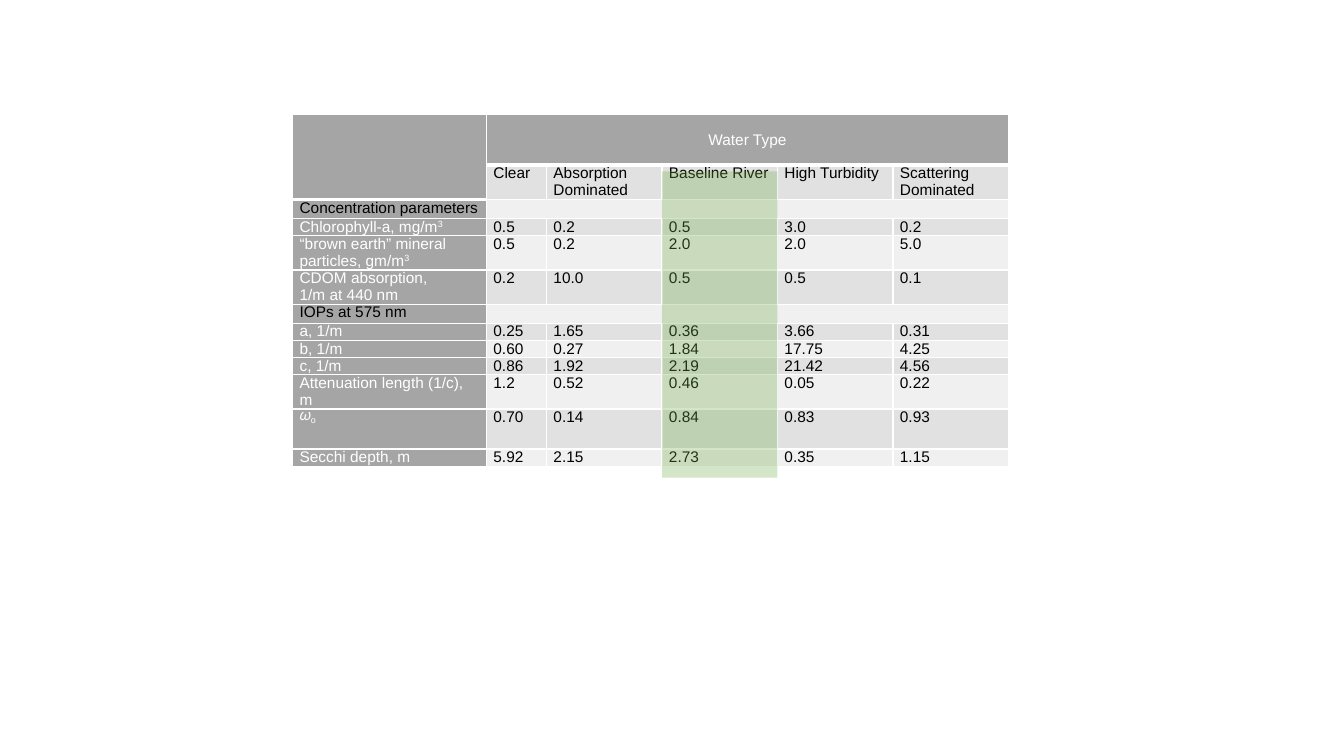
from lxml import etree
from pptx import Presentation
from pptx.dml.color import RGBColor
from pptx.enum import shapes, text
from pptx.oxml import ns
from pptx.util import Pt

TITLE = "Water Type"
TYPES = ["Clear", "Absorption Dominated", "Baseline River",
         "High Turbidity", "Scattering Dominated"]
# label, raised or lowered tail, its offset in percent, lines, values
ROWS = [
    ("Concentration parameters", "", 0, 1, []),
    ("Chlorophyll-a, mg/m", "3", 30, 1, ["0.5", "0.2", "0.5", "3.0", "0.2"]),
    ("“brown earth” mineral particles, gm/m", "3", 30, 2,
     ["0.5", "0.2", "2.0", "2.0", "5.0"]),
    ("CDOM absorption,\n1/m at 440 nm", "", 0, 2,
     ["0.2", "10.0", "0.5", "0.5", "0.1"]),
    ("IOPs at 575 nm", "", 0, 1, []),
    ("a, 1/m", "", 0, 1, ["0.25", "1.65", "0.36", "3.66", "0.31"]),
    ("b, 1/m", "", 0, 1, ["0.60", "0.27", "1.84", "17.75", "4.25"]),
    ("c, 1/m", "", 0, 1, ["0.86", "1.92", "2.19", "21.42", "4.56"]),
    ("Attenuation length (1/c), m", "", 0, 2,
     ["1.2", "0.52", "0.46", "0.05", "0.22"]),
    ("𝜔", "o", -25, 2.33, ["0.70", "0.14", "0.84", "0.83", "0.93"]),
    ("Secchi depth, m", "", 0, 1, ["5.92", "2.15", "2.73", "0.35", "1.15"]),
]
LEFT, TOP, LINE, SIZE = 209, 82, 12.25, 11
COLS = [138.5, 42.9] + [82.5] * 4
HEIGHTS = [36, 2 * LINE] + [row[3] * LINE for row in ROWS]
GREY, BANDS = "A5A5A5", ["F0F0F0", "E1E1E1"]
WHITE, BLACK, GREEN = "FFFFFF", "000000", "70AD47"
INSETS = {"margin_left": Pt(5), "margin_right": Pt(5),
          "margin_top": 0, "margin_bottom": 0}


def paint(fill, color):
    fill.solid()
    fill.fore_color.rgb = RGBColor.from_string(color)


def add(parent, tag, **attrs):
    return etree.SubElement(parent, ns.qn(tag), attrs)


def style(run, color):
    for name, value in {"size": Pt(SIZE), "name": "Arial"}.items():
        setattr(run.font, name, value)
    paint(run.font.fill, color)


def dress(cell, fill, thick=False):
    """Give a cell its insets, white borders and fill."""
    for name, value in INSETS.items():
        setattr(cell, name, value)
    props = cell._tc.get_or_add_tcPr()
    for side in "LRTB":
        width = 3 if thick and side == "B" else 1
        edge = add(props, "a:ln" + side, w=str(Pt(width)))
        add(add(edge, "a:solidFill"), "a:srgbClr", val=WHITE)
    paint(cell.fill, fill)


def write(cell, words, color, tail="", base=0):
    frame = cell.text_frame
    frame.text = words
    if tail:
        run = frame.paragraphs[-1].add_run()
        run.text = tail
        run.font._element.set("baseline", str(base * 1000))
    for para in frame.paragraphs:
        para.line_spacing = Pt(12)
        for run in para.runs:
            style(run, color)
        add(para._p, "a:endParaRPr", sz=str(SIZE * 100))


def build(slide):
    frame = slide.shapes.add_table(len(HEIGHTS), len(COLS), Pt(LEFT), Pt(TOP),
                                   Pt(sum(COLS)), Pt(sum(HEIGHTS)))
    table = frame.table
    for col, width in zip(table.columns, COLS):
        col.width = Pt(width)
    for row, height in zip(table.rows, HEIGHTS):
        row.height = Pt(height)

    heads = [("", "", 0, 1, [TITLE] + [""] * 4), ("", "", 0, 2, TYPES)]
    for r, (label, tail, base, _, vals) in enumerate(heads + ROWS):
        for c in range(len(COLS)):
            cell = table.cell(r, c)
            dress(cell, GREY if r == 0 or c == 0 else BANDS[r % 2],
                  r == 0 or (r == 1 and c == 0))
            if c == 0:
                write(cell, label, WHITE if vals else BLACK, tail, base)
            else:
                write(cell, vals[c - 1] if vals else "",
                      WHITE if r == 0 else BLACK)
        if r == 0 or not vals:
            table.cell(r, 1).merge(table.cell(r, len(COLS) - 1))
    table.cell(0, 0).merge(table.cell(1, 0))
    title = table.cell(0, 1)
    title.vertical_anchor = text.MSO_ANCHOR.MIDDLE
    title.text_frame.paragraphs[0].alignment = text.PP_ALIGN.CENTER


def mark(slide):
    """Lay a see-through band over the baseline river column."""
    col = 1 + TYPES.index("Baseline River")
    band = slide.shapes.add_shape(
        shapes.MSO_SHAPE.RECTANGLE, Pt(LEFT + sum(COLS[:col])), Pt(122.4),
        Pt(COLS[col]), Pt(218.9))
    band.shadow.inherit = False
    band.line.fill.background()
    paint(band.fill, GREEN)
    tint = band._element.spPr.find(".//" + ns.qn("a:srgbClr"))
    add(tint, "a:alpha", val="30000")


def main():
    deck = Presentation()
    deck.slide_width, deck.slide_height = Pt(960), Pt(540)
    slide = deck.slides.add_slide(deck.slide_layouts[6])
    build(slide)
    mark(slide)
    deck.save("out.pptx")


if __name__ == "__main__":
    main()
